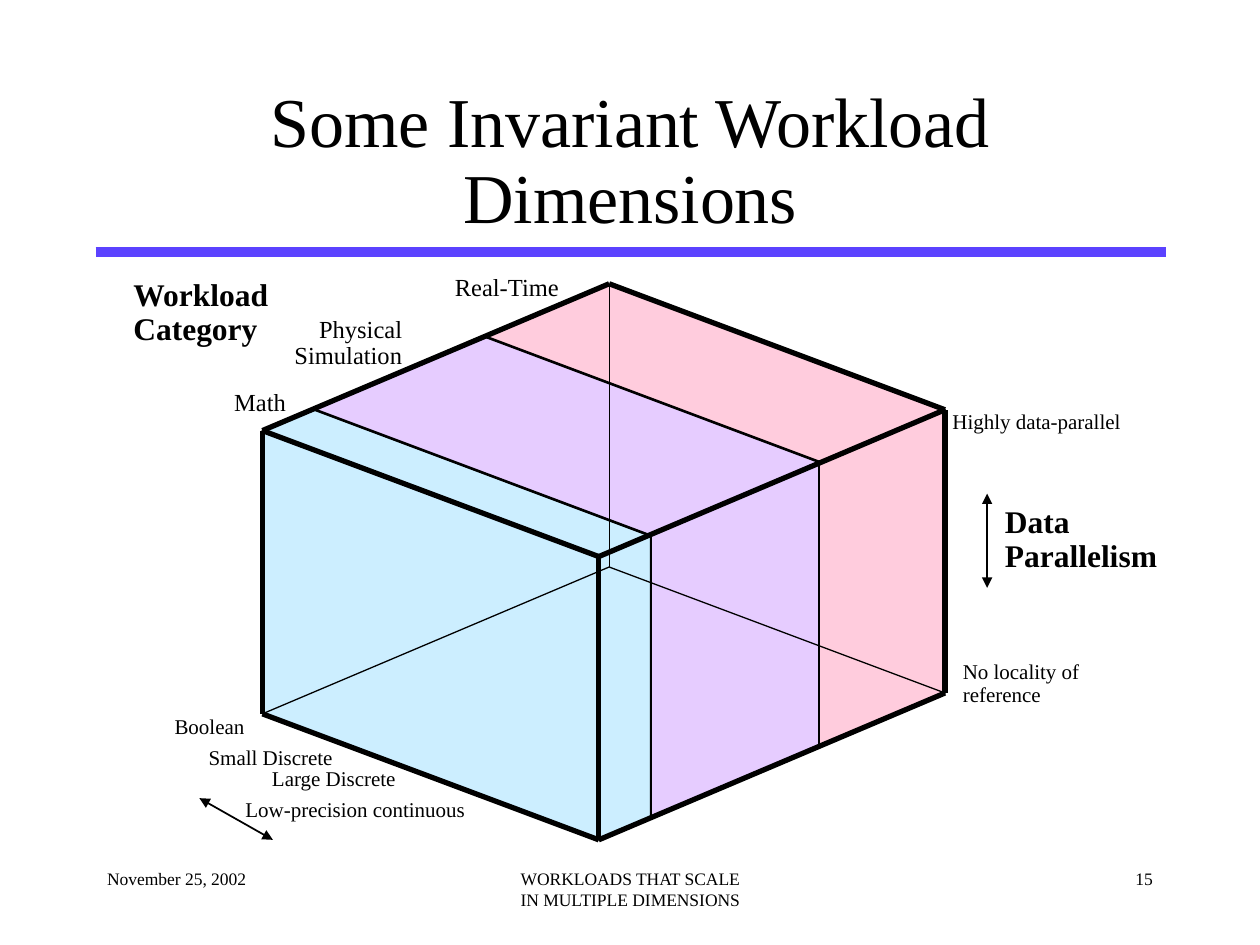
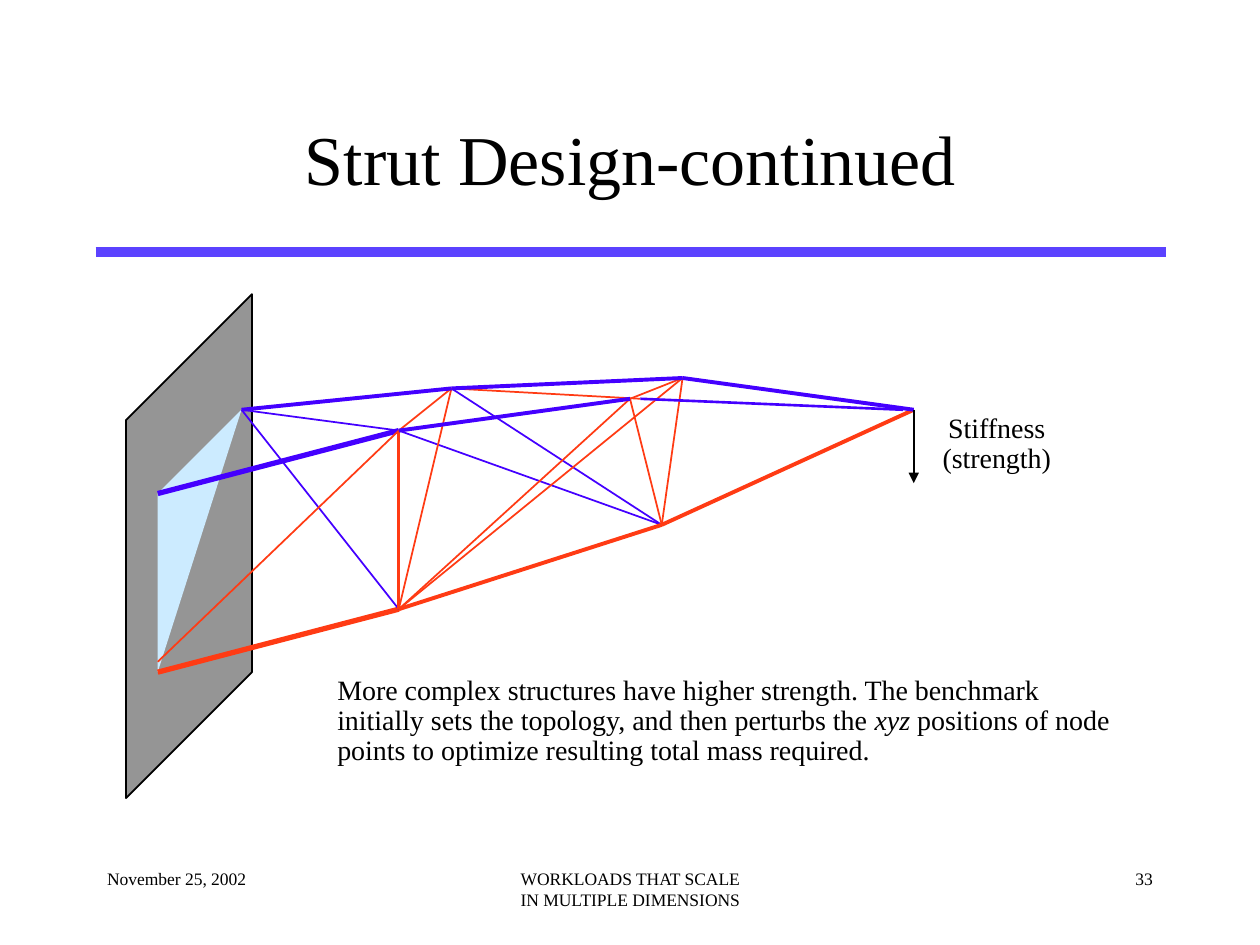
from dataclasses import dataclass

from lxml.etree import SubElement
from pptx import Presentation
from pptx.dml.color import RGBColor
from pptx.enum.shapes import MSO_CONNECTOR, MSO_SHAPE
from pptx.enum.text import MSO_ANCHOR, MSO_AUTO_SIZE, PP_ALIGN
from pptx.oxml.ns import qn
from pptx.util import Cm, Pt


@dataclass(frozen=True)
class Theme:
    font: str = "Times New Roman"
    ink: str = "000000"
    band: str = "5B42FF"
    pink: str = "FFCCDD"
    violet: str = "E6CCFF"
    sky: str = "CCEEFF"
    wall: str = "959595"
    opening: str = "CCEBFF"
    tension: str = "4400FF"
    compression: str = "FF3B14"
    title: int = 40
    heading: int = 18
    body: int = 16
    category: int = 14
    label: int = 12
    footer: int = 10


theme = Theme()
LEFT, CENTER, RIGHT, JUSTIFY = PP_ALIGN.LEFT, PP_ALIGN.CENTER, PP_ALIGN.RIGHT, PP_ALIGN.JUSTIFY


def add_line(slide, start, end, color, width, arrow_ends=()):
    line = slide.shapes.add_connector(MSO_CONNECTOR.STRAIGHT, *map(Cm, (*start, *end)))
    line.line.color.rgb = RGBColor.from_string(color)
    line.line.width = Pt(width)
    properties = line._element.spPr
    for arrow_end in arrow_ends:
        SubElement(properties.find(qn("a:ln")), qn(f"a:{arrow_end}"), type="triangle")
    SubElement(properties, qn("a:effectLst"))


def add_polygon(slide, corners, color, outlined=False):
    points = [(Cm(x), Cm(y)) for x, y in corners]
    builder = slide.shapes.build_freeform(*points[0], scale=1.0)
    builder.add_line_segments(points[1:], close=True)
    polygon = builder.convert_to_shape()
    polygon.shadow.inherit = False
    polygon.fill.solid()
    polygon.fill.fore_color.rgb = RGBColor.from_string(color)
    if outlined:
        polygon.line.color.rgb = RGBColor.from_string(theme.ink)
        polygon.line.width = Pt(1)
    else:
        polygon.line.fill.background()


prs = Presentation()
prs.slide_width, prs.slide_height = Cm(25.4), Cm(19.05)
dimensions, strut = [prs.slides.add_slide(prs.slide_layouts[6]) for _ in range(2)]

# Shared band under the title
for slide in (dimensions, strut):
    add_line(slide, (1.93, 5.08), (23.5, 5.08), theme.band, 6)

# Workload cube: the top edges run from the nearest slice to the farthest
cube_height = 5.71
rear_edge = [(5.29, 8.68), (6.35, 8.26), (9.74, 6.77), (12.28, 5.72)]
front_edge = [(12.07, 11.22), (13.12, 10.8), (16.51, 9.31), (19.05, 8.26)]
rear_base, front_base = [
    [(x, y + cube_height) for x, y in edge] for edge in (rear_edge, front_edge)
]
left, back, front, right = rear_edge[0], rear_edge[-1], front_edge[0], front_edge[-1]
left_base, back_base = rear_base[0], rear_base[-1]
near_base, right_base = front_base[0], front_base[-1]

# Coloured slices: colour, outline on top, outline on side
slices = [(theme.sky, True, True), (theme.violet, False, False), (theme.pink, False, True)]
for i, (color, top_outlined, side_outlined) in enumerate(slices):
    top = [rear_edge[i], front_edge[i], front_edge[i + 1], rear_edge[i + 1]]
    side = [front_edge[i], front_base[i], front_base[i + 1], front_edge[i + 1]]
    add_polygon(dimensions, top, color, top_outlined)
    add_polygon(dimensions, side, color, side_outlined)
add_polygon(dimensions, [left, front, near_base, left_base], theme.sky)

# Hidden edges, outer edges and slice borders
for corner in (right_base, back, left_base):
    add_line(dimensions, back_base, corner, theme.ink, 0.75)
outer_edges = [
    (left_base, left), (right_base, right), (back, left), (right_base, near_base),
    (near_base, front), (right, front), (back, right), (left_base, near_base), (left, front),
]
for start, end in outer_edges:
    add_line(dimensions, start, end, theme.ink, 3)
for i in (1, 2):
    add_line(dimensions, rear_edge[i], front_edge[i], theme.ink, 1.5)
    add_line(dimensions, front_base[i], front_edge[i], theme.ink, 1.5)

# Axis arrows
for start, end in [((19.9, 11.85), (19.9, 9.95)), ((5.5, 16.93), (4.02, 16.09))]:
    add_line(dimensions, start, end, theme.ink, 1, ("headEnd", "tailEnd"))

# Wall with the strut's footprint
wall = strut.shapes.add_shape(
    MSO_SHAPE.PARALLELOGRAM, Cm(-1.27), Cm(9.74), Cm(10.16), Cm(2.54)
)
wall.adjustments[0] = 1.0
wall.rotation = 90
wall._element.spPr.find(qn("a:xfrm")).set("flipV", "1")
wall.shadow.inherit = False
wall.fill.solid()
wall.fill.fore_color.rgb = RGBColor.from_string(theme.wall)
wall.line.color.rgb = RGBColor.from_string(theme.ink)
wall.line.width = Pt(1)

wall_rear, wall_front, wall_low = (4.87, 8.26), (3.18, 9.95), (3.18, 13.55)
add_polygon(strut, [wall_front, wall_rear, wall_low], theme.opening)

# Strut members between node points
wall_brace = (3.18, 13.34)
rear_1, front_1, low_1 = (9.1, 7.83), (8.04, 8.68), (8.04, 12.28)
rear_2, front_2, low_2 = (13.76, 7.62), (12.7, 8.04), (13.34, 10.58)
front_2_joint = (12.91, 8.04)
tip, tip_joint = (18.42, 8.26), (18.2, 8.26)
members = [
    (theme.compression, 3, [(low_1, wall_low)]),
    (theme.tension, 3, [(wall_front, front_1)]),
    (theme.tension, 1, [
        (wall_rear, low_1), (front_1, low_2), (front_1, wall_rear), (rear_1, low_2),
    ]),
    (theme.compression, 1, [
        (wall_brace, front_1), (front_2_joint, rear_1), (front_2, low_1), (rear_2, low_1),
        (front_1, rear_1), (front_2, rear_2), (rear_2, low_2), (low_1, rear_1),
        (front_2, low_2),
    ]),
    (theme.compression, 1.5, [(low_1, front_1)]),
    (theme.tension, 1.5, [(front_2_joint, tip_joint)]),
    (theme.compression, 2.25, [(low_2, low_1), (tip, low_2)]),
    (theme.tension, 2.25, [
        (wall_rear, rear_1), (front_1, front_2), (rear_1, rear_2), (rear_2, tip),
    ]),
]
for color, width, joints in members:
    for start, end in joints:
        add_line(strut, start, end, color, width)
add_line(strut, tip, (18.42, 9.74), theme.ink, 1, ("tailEnd",))

# Texts: slide, box, lines, size, alignment; *asterisks* mark italics
texts = [
    (dimensions, (20.11, 9.95, 3.38, 1.78), ["Data", "Parallelism"], theme.heading, LEFT),
    (dimensions, (2.54, 5.38, 3.05, 1.78), ["Workload", "Category"], theme.heading, LEFT),
    (dimensions, (9.02, 5.29, 2.41, 0.94), ["Real-Time"], theme.category, LEFT),
    (dimensions, (5.77, 6.14, 2.49, 1.47), ["Physical", "Simulation"], theme.category, RIGHT),
    (dimensions, (4.57, 7.62, 1.35, 0.94), ["Math"], theme.category, LEFT),
    (dimensions, (3.35, 14.18, 1.73, 0.86), ["Boolean"], theme.label, RIGHT),
    (dimensions, (4.04, 14.82, 2.82, 0.86), ["Small Discrete"], theme.label, RIGHT),
    (dimensions, (5.31, 15.24, 2.82, 0.86), ["Large Discrete"], theme.label, RIGHT),
    (dimensions, (4.78, 15.86, 4.75, 0.86), ["Low-precision continuous"], theme.label, RIGHT),
    (dimensions, (19.05, 8.04, 3.71, 0.86), ["Highly data-parallel"], theme.label, LEFT),
    (dimensions, (19.26, 13.08, 2.74, 1.32), ["No locality of reference"], theme.label, LEFT),
    (strut, (18.85, 8.1, 2.49, 1.63), ["Stiffness", "(strength)"], theme.body, CENTER),
    (strut, (6.65, 13.37, 15.93, 2.24), [
        "More complex structures have higher strength. The benchmark",
        "initially sets the topology, and then perturbs the *xyz* positions of node",
        "points to optimize resulting total mass required.",
    ], theme.body, JUSTIFY),
]
# Titles and footers
for slide, heading, number in [
    (dimensions, "Some Invariant Workload Dimensions", "15"),
    (strut, "Strut Design-continued", "33"),
]:
    texts += [
        (slide, (1.91, 1.69, 21.59, 3.18), [heading], theme.title, CENTER),
        (slide, (1.91, 17.36, 5.28, 1.27), ["November 25, 2002"], theme.footer, LEFT),
        (slide, (8.68, 17.36, 8.05, 1.27),
         ["WORKLOADS THAT SCALE", "IN MULTIPLE DIMENSIONS"], theme.footer, CENTER),
        (slide, (18.21, 17.36, 5.28, 1.27), [number], theme.footer, RIGHT),
    ]

for slide, box, lines, size, alignment in texts:
    frame = slide.shapes.add_textbox(*map(Cm, box)).text_frame
    is_footer = size == theme.footer
    is_framed = size in (theme.title, theme.footer)
    frame.word_wrap = is_framed or lines == ["No locality of reference"]
    frame.auto_size = MSO_AUTO_SIZE.NONE if is_framed else MSO_AUTO_SIZE.SHAPE_TO_FIT_TEXT
    frame.vertical_anchor = MSO_ANCHOR.TOP if is_footer else MSO_ANCHOR.MIDDLE
    margins = (0.25, 0.13, 0.25, 0.13) if is_framed else (0.15, 0.25, 0.15, 0.15)
    (frame.margin_left, frame.margin_top,
     frame.margin_right, frame.margin_bottom) = map(Cm, margins)
    for i, text in enumerate(lines):
        paragraph = frame.add_paragraph() if i else frame.paragraphs[0]
        paragraph.alignment = alignment
        paragraph.line_spacing = 1.0 if is_footer else 0.9
        paragraph.font.name = theme.font
        paragraph.font.size = Pt(size)
        paragraph.font.bold = size == theme.heading
        paragraph.font.color.rgb = RGBColor.from_string(theme.ink)
        for j, piece in enumerate(text.split("*")):
            run = paragraph.add_run()
            run.text = piece
            if j % 2:
                run.font.italic = True

prs.save("out.pptx")
